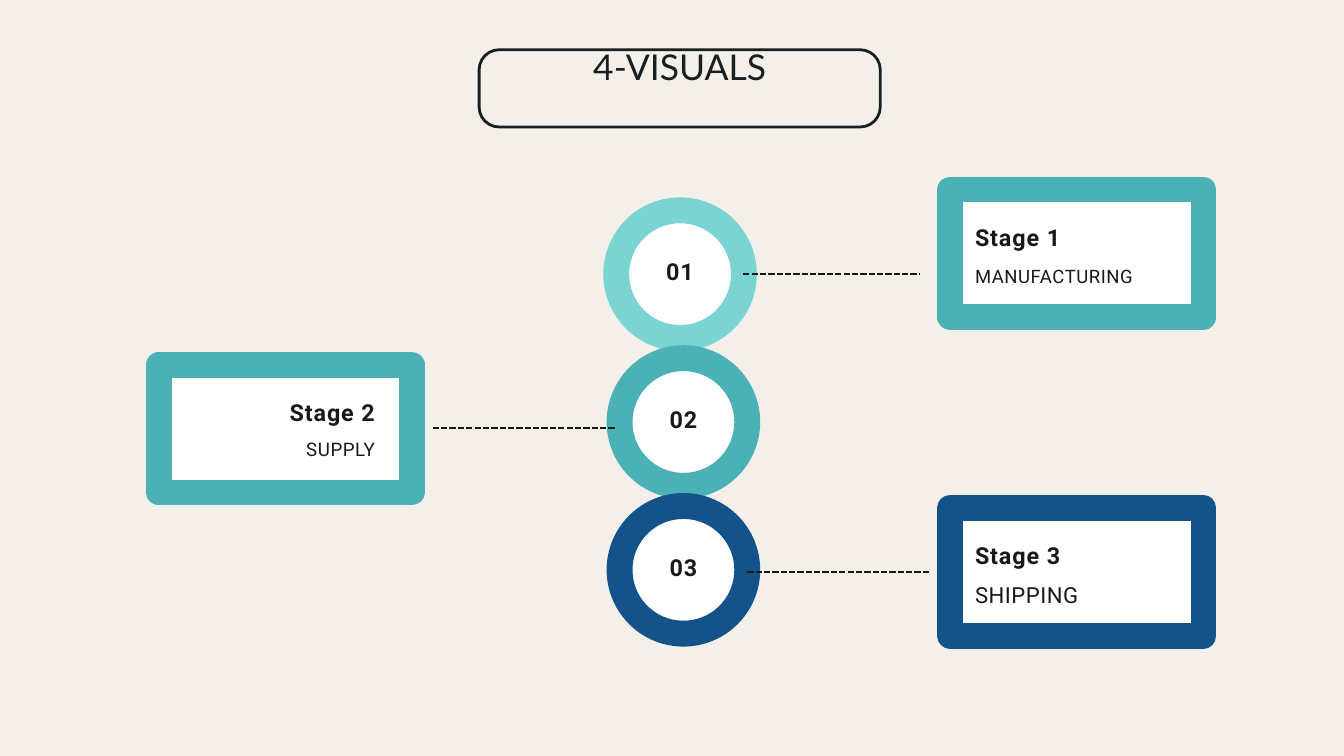
from lxml import etree
from pptx import Presentation
from pptx.dml.color import RGBColor
from pptx.enum.dml import MSO_LINE
from pptx.enum.shapes import MSO_CONNECTOR, MSO_SHAPE
from pptx.enum.text import MSO_ANCHOR, PP_ALIGN
from pptx.oxml.ns import qn
from pptx.util import Inches, Pt

CREAM = RGBColor(0xF4, 0xF0, 0xE9)
WHITE = RGBColor(0xFF, 0xFF, 0xFF)
INK = RGBColor(0x19, 0x19, 0x19)
CHARCOAL = RGBColor(0x19, 0x1E, 0x20)
AQUA = RGBColor(0x7C, 0xD4, 0xD2)
TEAL = RGBColor(0x4A, 0xB1, 0xB4)
NAVY = RGBColor(0x13, 0x53, 0x8A)

RING = 1.9
CARD_WIDTH, CARD_HEIGHT = 3.77, 1.9
BORDER = 27.75


def add_outlined(slide, preset, box, color, weight, fill=None):
    """Draw an outlined preset shape in box, filled if a fill is given."""
    outlined = slide.shapes.add_shape(preset, *map(Inches, box))
    outlined.shadow.inherit = False
    if fill is None:
        outlined.fill.background()
    else:
        outlined.fill.solid()
        outlined.fill.fore_color.rgb = fill
    outlined.line.color.rgb = color
    outlined.line.width = Pt(weight)
    return outlined


def add_label(slide, box, wording, size, leading, align=PP_ALIGN.LEFT, bold=False,
              spacing=0, color=INK, font="Roboto", anchor=MSO_ANCHOR.TOP, inset=0):
    """Write one paragraph in box with fixed leading and letter spacing."""
    frame = slide.shapes.add_textbox(*map(Inches, box)).text_frame
    frame.word_wrap = True
    frame.vertical_anchor = anchor
    frame.margin_left = frame.margin_right = Inches(inset)
    frame.margin_top = frame.margin_bottom = Inches(inset)
    paragraph = frame.paragraphs[0]
    paragraph.text = wording
    paragraph.alignment = align
    paragraph.line_spacing = Pt(leading)
    paragraph.font.name = font
    paragraph.font.size = Pt(size)
    paragraph.font.bold = bold
    paragraph.font.color.rgb = color
    if spacing:
        properties = paragraph._p.get_or_add_pPr().get_or_add_defRPr()
        properties.set("spc", str(round(spacing * 100)))


def add_title(slide, left, top, width, height):
    """Draw the rounded title frame with its heading."""
    frame = add_outlined(slide, MSO_SHAPE.ROUNDED_RECTANGLE,
                         (left, top, width, height), CHARCOAL, 3)
    frame.adjustments[0] = 0.26
    rise = 0.75
    add_label(slide, (left, top - rise, width, height + rise), "4-VISUALS", 38, 53.2,
              PP_ALIGN.CENTER, color=CHARCOAL, font="Lato",
              anchor=MSO_ANCHOR.MIDDLE, inset=0.06)


def add_number_ring(slide, left, top, number, color):
    """Draw a thick ring with the stage number inside."""
    add_outlined(slide, MSO_SHAPE.OVAL, (left, top, RING, RING), color, BORDER, WHITE)
    add_label(slide, (left + 0.18, top, RING - 0.36, RING - 0.18), number, 25, 37.5,
              PP_ALIGN.CENTER, True, 1, anchor=MSO_ANCHOR.MIDDLE, inset=0.06)


def add_dashes(slide, start, end, y):
    """Draw a level dashed line between ring and card."""
    dashes = slide.shapes.add_connector(
        MSO_CONNECTOR.STRAIGHT, Inches(start), Inches(y), Inches(end), Inches(y))
    dashes.line.color.rgb = INK
    dashes.line.width = Pt(2.25)
    dashes.line.dash_style = MSO_LINE.SQUARE_DOT
    etree.SubElement(dashes._element.spPr, qn("a:effectLst"))


def add_card(slide, left, top, color, heading, step, size, step_drop, align):
    """Draw a bordered card with a stage heading above its step."""
    add_outlined(slide, MSO_SHAPE.RECTANGLE, (left, top, CARD_WIDTH, CARD_HEIGHT),
                 color, BORDER, WHITE)
    text_left = left + (0.16 if align == PP_ALIGN.RIGHT else 0.37)
    text_width = 3.06
    add_label(slide, (text_left, top + 0.43, text_width, 0.45), heading, 25, 35,
              align, True, 1)
    add_label(slide, (text_left, top + step_drop, text_width, 0.41), step, size,
              size * 1.5, align, spacing=0.6)


def main():
    """Build the three-stage slide."""
    deck = Presentation()
    deck.slide_width, deck.slide_height = Inches(20), Inches(11.25)
    slide = deck.slides.add_slide(deck.slide_layouts[6])
    slide.background.fill.solid()
    slide.background.fill.fore_color.rgb = CREAM

    add_title(slide, 7.13, 0.74, 5.97, 1.15)

    right_card, left_card = 14.14, 2.36
    stages = [
        ((9.17, 3.13, "01", AQUA), (11.06, 13.69, 4.08),
         (right_card, 2.82, TEAL, "Stage 1", "MANUFACTURING", 19.8, 1.04, PP_ALIGN.LEFT)),
        ((9.22, 5.33, "02", TEAL), (6.44, 9.17, 6.37),
         (left_card, 5.43, TEAL, "Stage 2", "SUPPLY", 20, 1, PP_ALIGN.RIGHT)),
        ((9.22, 7.53, "03", NAVY), (11.12, 13.82, 8.51),
         (right_card, 7.56, NAVY, "Stage 3", "SHIPPING", 23.7, 1, PP_ALIGN.LEFT)),
    ]
    for ring, dashes, card in stages:
        add_number_ring(slide, *ring)
        add_dashes(slide, *dashes)
        add_card(slide, *card)

    deck.save("out.pptx")


if __name__ == "__main__":
    main()
